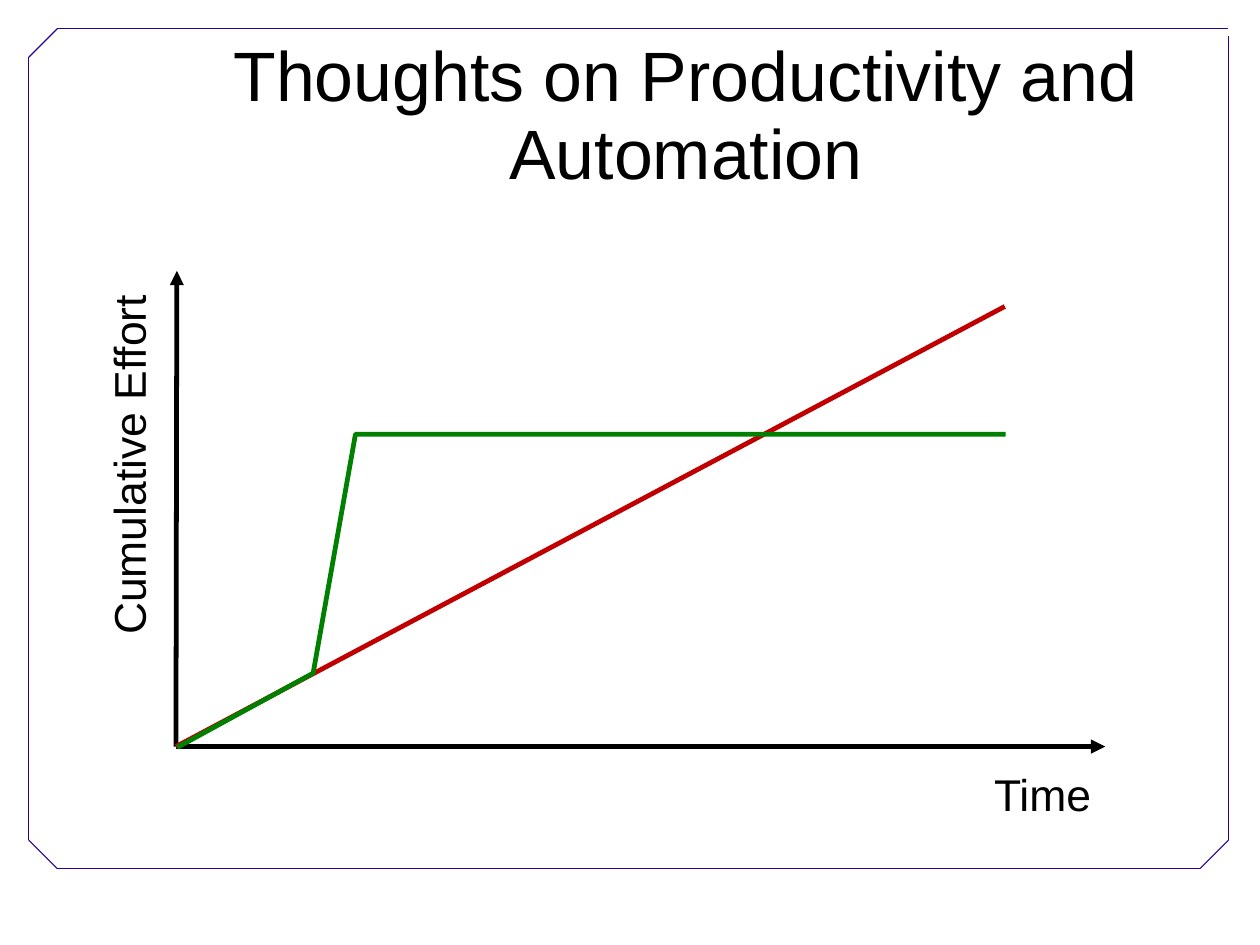
from dataclasses import dataclass

from lxml import etree
from pptx import Presentation
from pptx.dml.color import RGBColor
from pptx.enum.shapes import MSO_CONNECTOR
from pptx.enum.text import MSO_ANCHOR, MSO_AUTO_SIZE, PP_ALIGN
from pptx.oxml.ns import qn
from pptx.util import Cm, Pt

STRAIGHT = MSO_CONNECTOR.STRAIGHT
MIDDLE = MSO_ANCHOR.MIDDLE
CENTER, LEFT = PP_ALIGN.CENTER, PP_ALIGN.LEFT
NO_AUTOFIT, GROW = MSO_AUTO_SIZE.NONE, MSO_AUTO_SIZE.SHAPE_TO_FIT_TEXT

FONT = "Arial"
COLORS = {
    "frame": "280099",
    "ink": "000000",
    "manual": "C00000",
    "automated": "008000",
}

Point = tuple[float, float]


@dataclass
class Stroke:
    start: Point
    end: Point
    color: str
    width: float = 3
    arrow: bool = False


@dataclass
class AxisLabel:
    text: str
    left: float
    top: float
    width: float
    rotation: float = 0


def format_line(line, color: str, width: float) -> None:
    line.color.rgb = RGBColor.from_string(COLORS[color])
    line.width = Pt(width)


def draw_stroke(slide, stroke: Stroke) -> None:
    ends = [Cm(value) for value in (*stroke.start, *stroke.end)]
    connector = slide.shapes.add_connector(STRAIGHT, *ends)
    format_line(connector.line, stroke.color, stroke.width)
    if stroke.arrow:
        etree.SubElement(connector.line._get_or_add_ln(), qn("a:tailEnd"), type="triangle")
    etree.SubElement(connector._element.spPr, qn("a:effectLst"))


def draw_curve(slide, points: list[Point], color: str) -> None:
    start, *rest = [(Cm(x), Cm(y)) for x, y in points]
    builder = slide.shapes.build_freeform(*start)
    builder.add_line_segments(rest, close=False)
    curve = builder.convert_to_shape()
    curve.shadow.inherit = False
    curve.fill.background()
    format_line(curve.line, color, 3)


def write_text(frame, text: str, size: float, alignment) -> None:
    frame.text = text
    paragraph = frame.paragraphs[0]
    paragraph.alignment = alignment
    paragraph.line_spacing = 0.93
    paragraph.font.name = FONT
    paragraph.font.size = Pt(size)
    paragraph.font.color.rgb = RGBColor.from_string(COLORS["ink"])


def draw_label(slide, label: AxisLabel) -> None:
    box = slide.shapes.add_textbox(Cm(label.left), Cm(label.top), Cm(label.width), Cm(1.37))
    box.rotation = label.rotation
    box.text_frame.word_wrap = False
    box.text_frame.auto_size = GROW
    write_text(box.text_frame, label.text, 28, LEFT)


def set_title(slide, text: str) -> None:
    title = slide.shapes.title
    title.left, title.top, title.width, title.height = Cm(3.91), Cm(0.84), Cm(22.68), Cm(3.51)
    frame = title.text_frame
    frame.word_wrap = True
    frame.auto_size = NO_AUTOFIT
    frame.vertical_anchor = MIDDLE
    frame.margin_left = frame.margin_right = Cm(0.28)
    frame.margin_top = frame.margin_bottom = Cm(0.15)
    write_text(frame, text, 44, CENTER)


# Frame with three cut corners and a small gap at the top right
LEFT_EDGE, RIGHT_EDGE, TOP_EDGE, BOTTOM_EDGE, CUT = 0.64, 27.3, 0.64, 19.3, 0.63
INNER_LEFT, INNER_RIGHT = LEFT_EDGE + CUT, RIGHT_EDGE - CUT
INNER_TOP, INNER_BOTTOM = TOP_EDGE + CUT, BOTTOM_EDGE - CUT
FRAME = [
    ((INNER_LEFT, BOTTOM_EDGE), (INNER_RIGHT, BOTTOM_EDGE)),
    ((LEFT_EDGE, INNER_BOTTOM), (LEFT_EDGE, INNER_TOP)),
    ((INNER_LEFT, TOP_EDGE), (RIGHT_EDGE, TOP_EDGE)),
    ((RIGHT_EDGE, INNER_BOTTOM), (RIGHT_EDGE, 0.81)),
    ((LEFT_EDGE, INNER_TOP), (INNER_LEFT, TOP_EDGE)),
    ((INNER_RIGHT, BOTTOM_EDGE), (RIGHT_EDGE, INNER_BOTTOM)),
    ((LEFT_EDGE, INNER_BOTTOM), (INNER_LEFT, BOTTOM_EDGE)),
]

# Effort diagram
ORIGIN = (3.91, 16.59)
AXES = [
    Stroke(ORIGIN, (3.93, 6.02), "ink", arrow=True),
    Stroke(ORIGIN, (24.56, 16.59), "ink", arrow=True),
]
LABELS = [
    AxisLabel("Time", 21.84, 17.02, 2.69),
    AxisLabel("Cumulative Effort", -1.12, 9.63, 8.08, rotation=270),
]
MANUAL_EFFORT = Stroke(ORIGIN, (22.33, 6.81), "manual")
AUTOMATED_EFFORT = [(3.94, 16.61), (6.96, 14.96), (7.9, 9.65), (22.35, 9.65)]


def main() -> None:
    presentation = Presentation()
    presentation.slide_width, presentation.slide_height = Cm(28), Cm(21)
    slide = presentation.slides.add_slide(presentation.slide_layouts[5])

    set_title(slide, "Thoughts on Productivity and Automation")
    for start, end in FRAME:
        draw_stroke(slide, Stroke(start, end, "frame", width=0.75))
    for axis in AXES:
        draw_stroke(slide, axis)
    for label in LABELS:
        draw_label(slide, label)
    draw_stroke(slide, MANUAL_EFFORT)
    draw_curve(slide, AUTOMATED_EFFORT, "automated")

    presentation.save("out.pptx")


if __name__ == "__main__":
    main()
